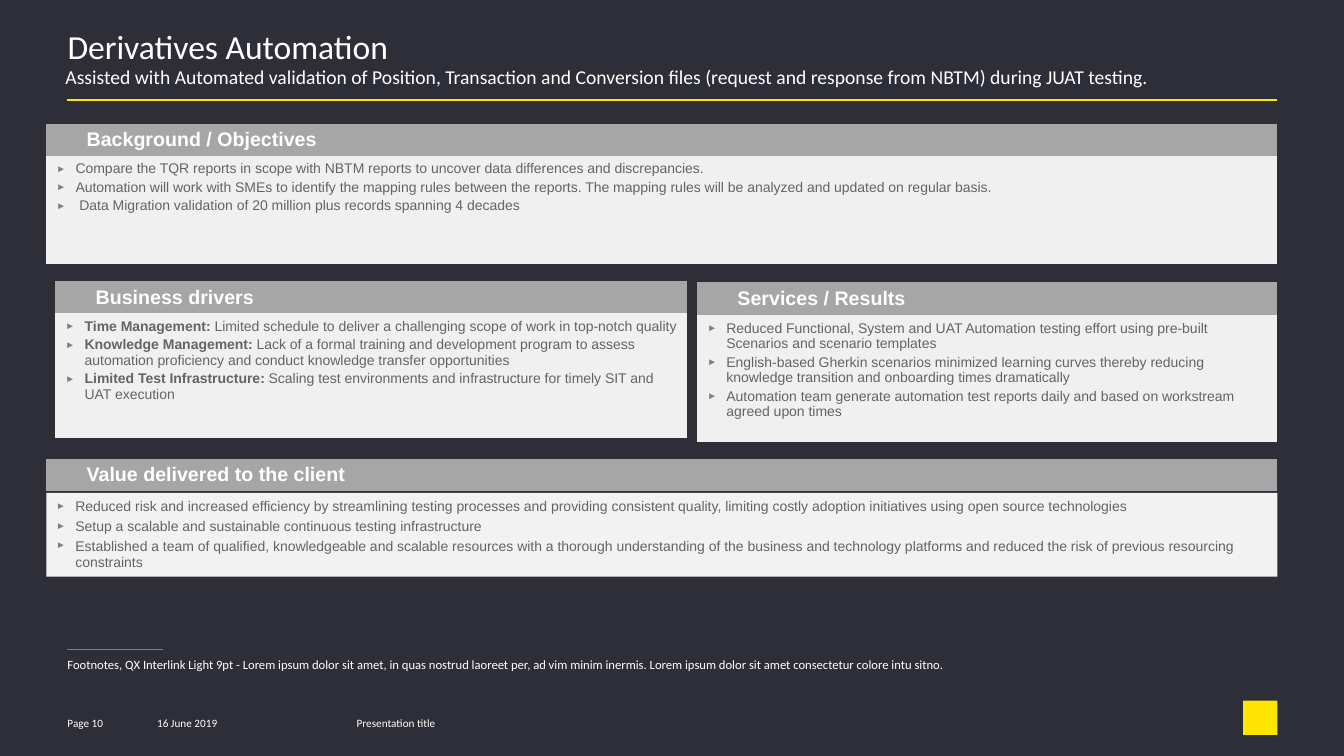
from dataclasses import dataclass

from lxml.etree import SubElement
from pptx import Presentation
from pptx.dml.color import RGBColor
from pptx.enum.shapes import MSO_CONNECTOR, MSO_SHAPE
from pptx.enum.text import MSO_ANCHOR, MSO_AUTO_SIZE, PP_ALIGN
from pptx.oxml.ns import qn
from pptx.util import Inches, Pt

DARK = RGBColor(0x2E, 0x2E, 0x38)
YELLOW = RGBColor(0xFF, 0xE6, 0x00)
WHITE = RGBColor(0xFF, 0xFF, 0xFF)
RULE_GREY = RGBColor(0x80, 0x80, 0x80)
HEADER_GREY = RGBColor(0xA6, 0xA6, 0xA6)
BODY_GREY = RGBColor(0xF0, 0xF0, 0xF0)
VALUE_GREY = RGBColor(0xF2, 0xF2, 0xF2)
TEXT_GREY = RGBColor(0x64, 0x64, 0x64)
NO_GRID_STYLE = "{2D5ABB26-0587-4C30-8999-92F81FD0307C}"


@dataclass(frozen=True)
class Bullet:
    text: str
    lead: str = ""


@dataclass(frozen=True)
class Panel:
    heading: str
    left: float
    top: float
    width: float
    header_height: float
    body_height: float
    bullets: tuple[Bullet, ...] = ()


@dataclass(frozen=True)
class Label:
    text: str
    left: float
    top: float
    width: float
    height: float
    size: float
    anchor: MSO_ANCHOR = MSO_ANCHOR.TOP


PANELS = (
    Panel("Background / Objectives", 0.46, 1.23, 12.22, 0.28, 1.07, (
        Bullet("Compare the TQR reports in scope with NBTM reports to uncover data "
               "differences and discrepancies."),
        Bullet("Automation will work with SMEs to identify the mapping rules between the "
               "reports. The mapping rules will be analyzed and updated on regular basis."),
        Bullet(" Data Migration validation of 20 million plus records spanning 4 decades"),
    )),
    Panel("Business drivers", 0.55, 2.79, 6.27, 0.3, 1.24, (
        Bullet("Limited schedule to deliver a challenging scope of work in top-notch quality",
               "Time Management: "),
        Bullet("Lack of a formal training and development program to assess automation "
               "proficiency and conduct knowledge transfer opportunities",
               "Knowledge Management: "),
        Bullet("Scaling test environments and infrastructure for timely SIT and UAT execution",
               "Limited Test Infrastructure: "),
    )),
    Panel("Services / Results", 6.92, 2.8, 5.76, 0.33, 1.26, (
        Bullet("Reduced Functional, System and UAT Automation testing effort using pre-built "
               "Scenarios and scenario templates"),
        Bullet("English-based Gherkin scenarios minimized learning curves thereby reducing "
               "knowledge transition and onboarding times dramatically"),
        Bullet("Automation team generate automation test reports daily and based on "
               "workstream agreed upon times"),
    )),
    Panel("Value delivered to the client", 0.46, 4.55, 12.22, 0.32, 0.28),
)

VALUE_BULLETS = (
    Bullet("Reduced risk and increased efficiency by streamlining testing processes and "
           "providing consistent quality, limiting costly adoption initiatives using open "
           "source technologies"),
    Bullet("Setup a scalable and sustainable continuous testing infrastructure"),
    Bullet("Established a team of qualified, knowledgeable and scalable resources with a "
           "thorough understanding of the business and technology platforms and reduced the "
           "risk of previous resourcing constraints"),
)

LABELS = (
    Label("Assisted with Automated validation of Position, Transaction and Conversion files "
          "(request and response from NBTM) during JUAT testing.",
          0.65, 0.64, 12.4, 0.24, 14),
    Label("Footnotes, QX Interlink Light 9pt - Lorem ipsum dolor sit amet, in quas nostrud "
          "laoreet per, ad vim minim inermis. Lorem ipsum dolor sit amet consectetur colore "
          "intu sitno.", 0.67, 6.52, 10.43, 0.43, 9),
    Label("Page 10", 0.67, 7.07, 0.73, 0.2, 8, MSO_ANCHOR.MIDDLE),
    Label("16 June 2019", 1.56, 7.07, 1.3, 0.2, 8, MSO_ANCHOR.MIDDLE),
    Label("Presentation title", 3.54, 7.07, 3.38, 0.2, 8, MSO_ANCHOR.MIDDLE),
)


def add_text(para, text: str, *, size: float, color: RGBColor, font: str = "Arial",
             bold: bool = False) -> None:
    span = para.add_run()
    span.text = text
    span.font.size = Pt(size)
    span.font.name = font
    span.font.bold = bold
    span.font.color.rgb = color


def clear_margins(frame) -> None:
    frame.margin_left = frame.margin_right = 0
    frame.margin_top = frame.margin_bottom = 0


def add_bullets(frame, bullets: tuple[Bullet, ...]) -> None:
    for index, bullet in enumerate(bullets):
        para = frame.paragraphs[0] if index == 0 else frame.add_paragraph()
        para.alignment = PP_ALIGN.LEFT
        para.space_after = Pt(2)
        properties = para._p.get_or_add_pPr()
        properties.set("marL", str(Inches(0.19)))
        properties.set("indent", str(-Inches(0.19)))
        marker_color = SubElement(properties, qn("a:buClr"))
        SubElement(marker_color, qn("a:srgbClr"), val=str(RULE_GREY))
        SubElement(properties, qn("a:buSzPct"), val="70000")
        SubElement(properties, qn("a:buFont"), typeface="Arial")
        SubElement(properties, qn("a:buChar"), char="\u25ba")
        if bullet.lead:
            add_text(para, bullet.lead, size=10, color=TEXT_GREY, bold=True)
        add_text(para, bullet.text, size=10, color=TEXT_GREY)


def fill_cell(cell, color: RGBColor) -> None:
    cell.fill.solid()
    cell.fill.fore_color.rgb = color


def add_panel(page, panel: Panel) -> None:
    heights = (panel.header_height, panel.body_height)
    holder = page.shapes.add_table(len(heights), 1, Inches(panel.left), Inches(panel.top),
                                   Inches(panel.width), Inches(sum(heights)))
    holder.element.find(".//" + qn("a:tableStyleId")).text = NO_GRID_STYLE
    table = holder.table
    table.first_row = table.horz_banding = False
    for row, height in zip(table.rows, heights):
        row.height = Inches(height)
    header, body = table.cell(0, 0), table.cell(1, 0)
    fill_cell(header, HEADER_GREY)
    header.margin_left = Inches(0.4)
    add_text(header.text_frame.paragraphs[0], panel.heading, size=14, color=WHITE, bold=True)
    if panel.bullets:
        fill_cell(body, BODY_GREY)
        add_bullets(body.text_frame, panel.bullets)
    else:
        body.fill.background()


def add_label(page, label: Label) -> None:
    box = page.shapes.add_textbox(Inches(label.left), Inches(label.top),
                                  Inches(label.width), Inches(label.height))
    frame = box.text_frame
    frame.word_wrap = True
    frame.vertical_anchor = label.anchor
    clear_margins(frame)
    add_text(frame.paragraphs[0], label.text, size=label.size, color=WHITE, font="Calibri")


def add_rule(page, left: float, right: float, top: float, *, color: RGBColor,
             weight: float) -> None:
    rule = page.shapes.add_connector(MSO_CONNECTOR.STRAIGHT, Inches(left), Inches(top),
                                     Inches(right), Inches(top))
    rule.line.color.rgb = color
    rule.line.width = Pt(weight)
    SubElement(rule.element.spPr, qn("a:effectLst"))


def add_block(page, left: float, top: float, width: float, height: float, color: RGBColor):
    block = page.shapes.add_shape(MSO_SHAPE.RECTANGLE, Inches(left), Inches(top),
                                  Inches(width), Inches(height))
    block.shadow.inherit = False
    block.fill.solid()
    block.fill.fore_color.rgb = color
    block.line.fill.background()
    return block


def set_title(page, text: str) -> None:
    title = page.shapes.title
    title.left, title.top = Inches(0.67), Inches(0.32)
    title.width, title.height = Inches(12.01), Inches(0.65)
    frame = title.text_frame
    frame.auto_size = MSO_AUTO_SIZE.NONE
    frame.vertical_anchor = MSO_ANCHOR.TOP
    clear_margins(frame)
    para = frame.paragraphs[0]
    para.alignment = PP_ALIGN.LEFT
    para.line_spacing = 0.85
    add_text(para, text, size=24, color=WHITE, font="Calibri")


deck = Presentation()
deck.slide_width, deck.slide_height = Inches(13.34), Inches(7.5)
page = deck.slides.add_slide(deck.slide_layouts[5])
page.background.fill.solid()
page.background.fill.fore_color.rgb = DARK
set_title(page, "Derivatives Automation")
add_rule(page, 0.67, 12.68, 0.99, color=YELLOW, weight=1.5)
add_rule(page, 0.67, 1.62, 6.44, color=RULE_GREY, weight=0.5)
for panel in PANELS:
    add_panel(page, panel)
value_box = add_block(page, 0.46, 4.89, 12.22, 0.83, VALUE_GREY)
value_box.text_frame.word_wrap = True
value_box.text_frame.vertical_anchor = MSO_ANCHOR.TOP
add_bullets(value_box.text_frame, VALUE_BULLETS)
for label in LABELS:
    add_label(page, label)
add_block(page, 12.34, 6.95, 0.34, 0.34, YELLOW)
deck.save("out.pptx")
